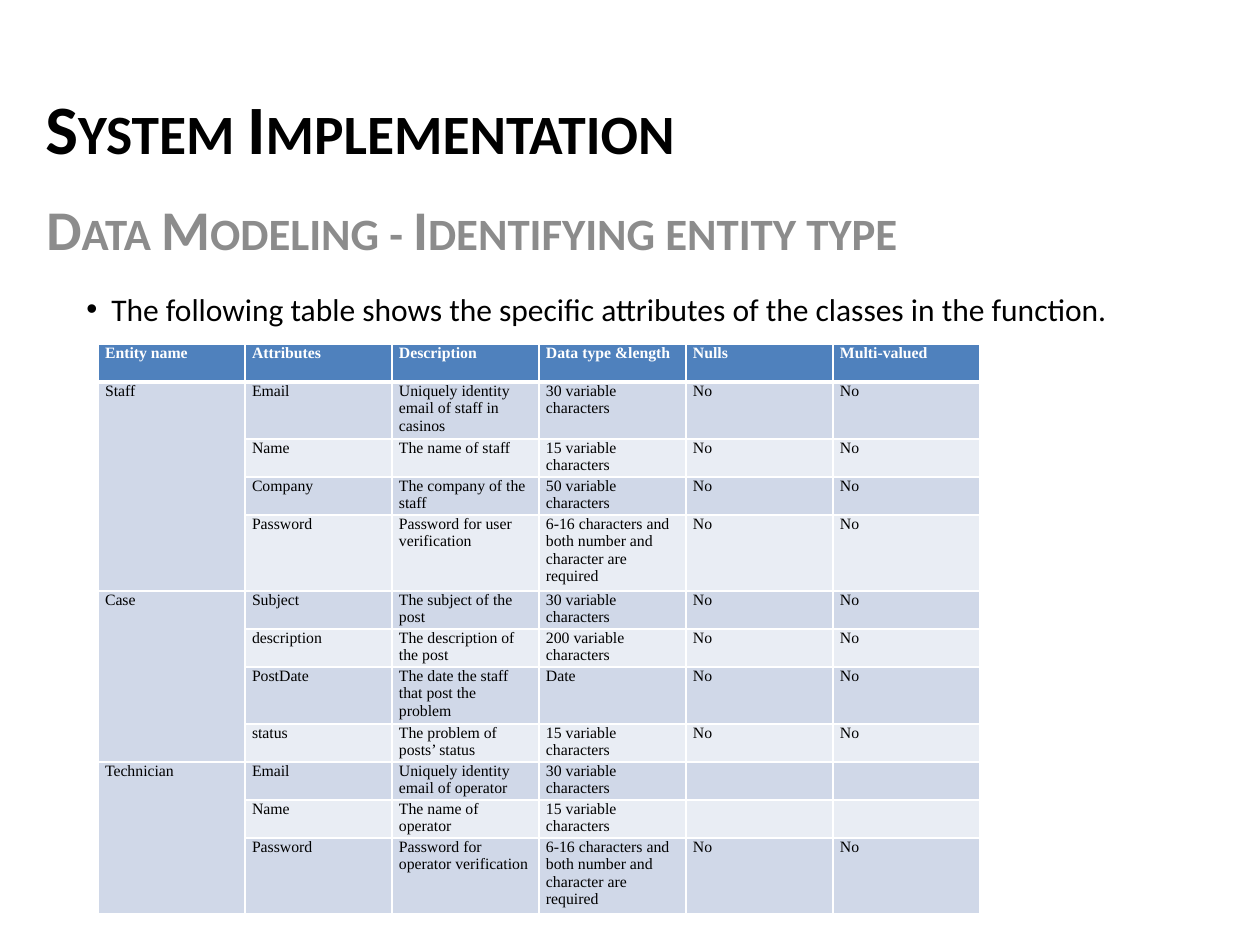
from dataclasses import dataclass

from lxml import etree
from pptx import Presentation
from pptx import util as u
from pptx.dml.color import RGBColor
from pptx.enum import text
from pptx.oxml.ns import qn

BLACK = RGBColor(0x00, 0x00, 0x00)
WHITE = RGBColor(0xFF, 0xFF, 0xFF)
GRAY = RGBColor(0x8C, 0x8C, 0x8C)
BLUE = RGBColor(0x4F, 0x81, 0xBD)
BAND = RGBColor(0xD0, 0xD8, 0xE8)
PALE = RGBColor(0xE9, 0xED, 0xF4)
SANS = "Calibri"
SERIF = "Times New Roman"
COL = 147
LINE = 19


@dataclass
class Label:
    words: str
    left: int
    top: int
    width: int
    height: int
    size: float
    color: RGBColor
    caps: bool = True
    hang: int = 0


@dataclass
class Field:
    name: str
    about: str
    kind: str
    flag: str = "No"
    lines: int = 2


@dataclass
class Entity:
    name: str
    fields: list[Field]


LABELS = [
    Label("System Implementation", 33, 79, 863, 128, 39.6, BLACK),
    Label("Data Modeling - Identifying entity type", 34, 188, 1060, 128, 32, GRAY),
    Label("The following table shows the specific attributes of the classes in the function.",
          74, 284, 1106, 50, 18, BLACK, caps=False, hang=25),
]
HEADS = ["Entity name", "Attributes", "Description", "Data type &length", "Nulls", "Multi-valued"]
SECRET = "6-16 characters and both number and character are required"
ENTITIES = [
    Entity("Staff", [
        Field("Email", "Uniquely identity email of staff in casinos", "30 variable characters", lines=3),
        Field("Name", "The name of staff", "15 variable characters"),
        Field("Company", "The company of the staff", "50 variable characters"),
        Field("Password", "Password for user verification", SECRET, lines=4),
    ]),
    Entity("Case", [
        Field("Subject", "The subject of the post", "30 variable characters"),
        Field("description", "The description of the post", "200 variable characters"),
        Field("PostDate", "The date the staff that post the problem", "Date", lines=3),
        Field("status", "The problem of posts’ status", "15 variable characters"),
    ]),
    Entity("Technician", [
        Field("Email", "Uniquely identity email of operator", "30 variable characters", flag=""),
        Field("Name", "The name of operator", "15 variable characters", flag=""),
        Field("Password", "Password for operator verification", SECRET, lines=4),
    ]),
]


def px(count: int) -> u.Emu:
    return u.Emu(round(count * 914400 / 126))


def add_run(para, words: str, face: str, size: float, color: RGBColor, bold: bool):
    run = para.add_run()
    run.text = words
    run.font.name = face
    run.font.size = u.Pt(size)
    run.font.bold = bold
    run.font.color.rgb = color
    return run


def add_label(slide, item: Label) -> None:
    box = slide.shapes.add_textbox(px(item.left), px(item.top), px(item.width), px(item.height))
    frame = box.text_frame
    frame.word_wrap = True
    frame.vertical_anchor = text.MSO_ANCHOR.TOP
    para = frame.paragraphs[0]
    run = add_run(para, item.words, SANS, item.size, item.color, item.caps)
    if item.caps:
        run.font._element.set("cap", "small")
    if item.hang:
        props = para._p.get_or_add_pPr()
        props.set("marL", str(px(item.hang)))
        props.set("indent", str(-px(item.hang)))
        etree.SubElement(props, qn("a:buFont"), typeface="Arial")
        etree.SubElement(props, qn("a:buChar"), char="•")


def add_edges(cell, top: int, base: int) -> None:
    props = cell._tc.get_or_add_tcPr()
    for spot, (side, width) in enumerate([("L", 1), ("R", 1), ("T", top), ("B", base)]):
        edge = etree.Element(qn(f"a:ln{side}"), w=str(u.Pt(width)))
        fill = etree.SubElement(edge, qn("a:solidFill"))
        etree.SubElement(fill, qn("a:srgbClr"), val=str(WHITE))
        props.insert(spot, edge)


def fill_cell(cell, words: str, row: int, fill: RGBColor) -> None:
    head = row == 0
    cell.margin_left = cell.margin_right = px(7)
    cell.margin_top = cell.margin_bottom = 0
    cell.vertical_anchor = text.MSO_ANCHOR.TOP
    cell.fill.solid()
    cell.fill.fore_color.rgb = fill
    para = cell.text_frame.paragraphs[0]
    add_run(para, words, SERIF, 9, WHITE if head else BLACK, head)
    add_edges(cell, 3 if row == 1 else 1, 3 if head else 1)


def add_grid(slide) -> None:
    count = 1 + sum(len(entity.fields) for entity in ENTITIES)
    width = len(HEADS)
    frame = slide.shapes.add_table(count, width, px(98), px(344), px(COL * width), px(LINE * 30))
    table = frame.table
    table.horz_banding = False
    for col in table.columns:
        col.width = px(COL)
    table.rows[0].height = px(LINE * 2)
    for col, words in enumerate(HEADS):
        fill_cell(table.cell(0, col), words, 0, BLUE)
    row = 1
    for entity in ENTITIES:
        first = row
        for field in entity.fields:
            table.rows[row].height = px(LINE * field.lines)
            name = entity.name if row == first else ""
            fill_cell(table.cell(row, 0), name, row, BAND)
            values = [field.name, field.about, field.kind, field.flag, field.flag]
            for col, words in enumerate(values, 1):
                fill_cell(table.cell(row, col), words, row, BAND if row % 2 else PALE)
            row += 1
        table.cell(first, 0).merge(table.cell(row - 1, 0))


def main() -> None:
    deck = Presentation()
    deck.slide_width, deck.slide_height = px(1260), px(945)
    slide = deck.slides.add_slide(deck.slide_layouts[6])
    for item in LABELS:
        add_label(slide, item)
    add_grid(slide)
    deck.save("out.pptx")


if __name__ == "__main__":
    main()
